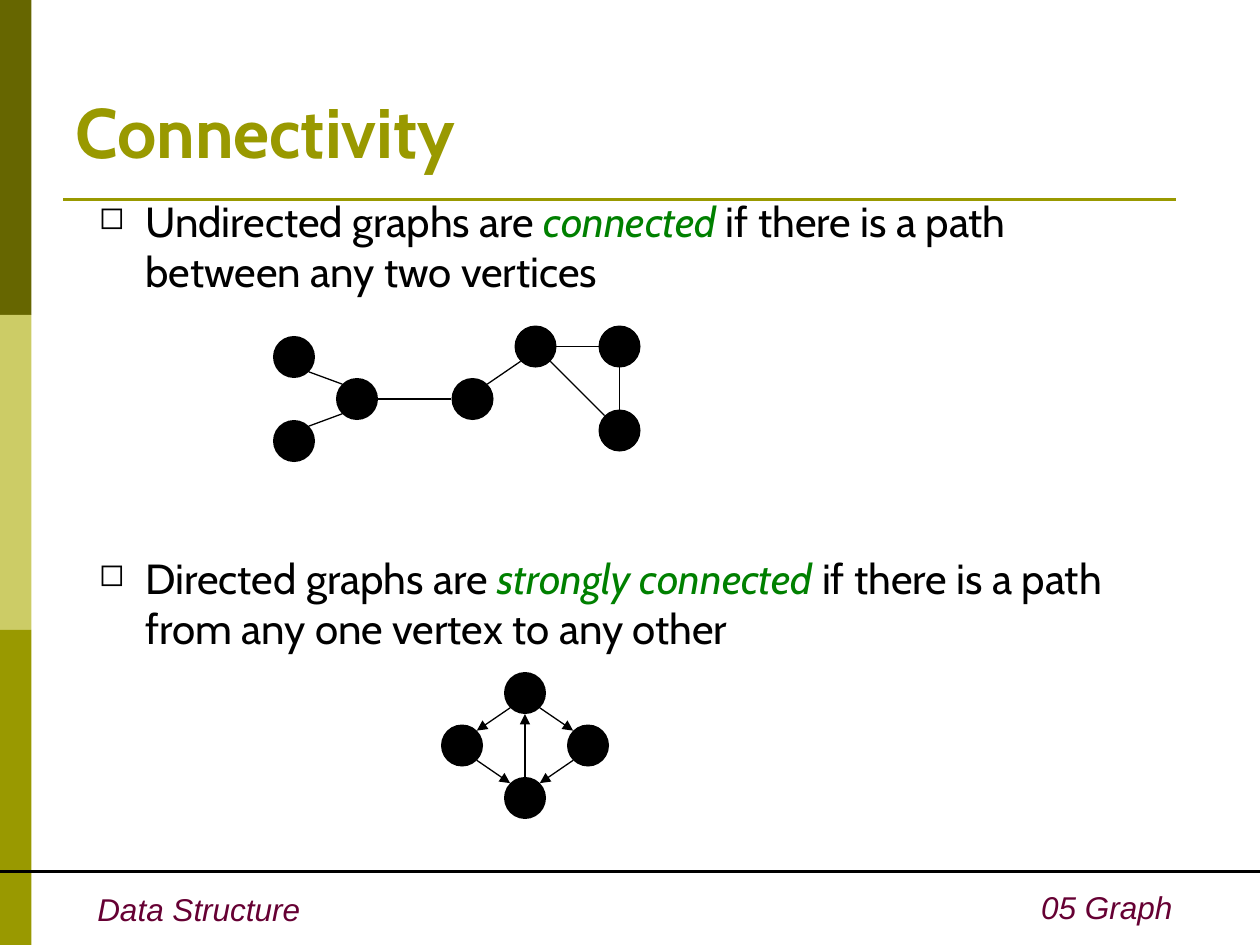
from dataclasses import dataclass
from math import atan2, cos, pi, sin

from lxml.etree import SubElement
from pptx import Presentation
from pptx.dml.color import RGBColor as Rgb
from pptx.enum.shapes import MSO_CONNECTOR as Conn, MSO_SHAPE as Kind
from pptx.enum.text import MSO_ANCHOR as Anchor, PP_ALIGN as Align
from pptx.oxml.ns import qn
from pptx.util import Pt


@dataclass(frozen=True)
class Theme:
    dark: str = "666600"
    pale: str = "CCCC66"
    olive: str = "999900"
    wine: str = "660033"
    green: str = "008000"
    black: str = "000000"
    head: int = 40
    body: int = 24
    foot: int = 18
    font: str = "Cabin"
    sans: str = "Arial"


class Page:
    def __init__(self, slide, theme):
        self.slide = slide
        self.theme = theme

    def shape(self, kind, box, color, home=None):
        item = (home or self.slide).shapes.add_shape(kind, *map(Pt, box))
        item.shadow.inherit = False
        item.fill.solid()
        item.fill.fore_color.rgb = Rgb.from_string(color)
        item.line.fill.background()

    def line(self, start, end, color, width, home=None, arrow=False):
        item = (home or self.slide).shapes.add_connector(
            Conn.STRAIGHT, *map(Pt, (*start, *end)))
        item.line.color.rgb = Rgb.from_string(color)
        item.line.width = Pt(width)
        if arrow:
            SubElement(item.line._get_or_add_ln(), qn("a:tailEnd"), type="triangle")
        SubElement(item._element.spPr, qn("a:effectLst"))

    def text(self, box, paras, style, anchor=Anchor.TOP,
             align=Align.LEFT, gap=0, bullet=None):
        frame = self.slide.shapes.add_textbox(*map(Pt, box)).text_frame
        frame.word_wrap = True
        frame.vertical_anchor = anchor
        for i, runs in enumerate(paras):
            para = frame.add_paragraph() if i else frame.paragraphs[0]
            para.alignment = align
            if i:
                para.space_before = Pt(gap)
            if bullet:
                self.mark(para, bullet)
            for words, extra in runs:
                self.run(para, words, {**style, **extra})

    def run(self, para, words, style):
        run = para.add_run()
        run.text = words
        for key, value in style.items():
            if key == "color":
                run.font.color.rgb = Rgb.from_string(value)
            else:
                setattr(run.font, key, value)

    def mark(self, para, char):
        props = para._p.get_or_add_pPr()
        props.set("marL", str(Pt(34)))
        props.set("indent", str(-Pt(26.5)))
        tint = SubElement(props, qn("a:buClr"))
        SubElement(tint, qn("a:srgbClr"), val=self.theme.black)
        SubElement(props, qn("a:buSzPct"), val="75000")
        SubElement(props, qn("a:buChar"), char=char)

    def graph(self, nodes, edges, arrow=False, radius=12):
        home = self.slide.shapes.add_group_shape()
        color = self.theme.black
        for x, y in nodes.values():
            box = (x - radius, y - radius, 2 * radius, 2 * radius)
            self.shape(Kind.OVAL, box, color, home)
        for a, b in edges:
            (x1, y1), (x2, y2) = nodes[a], nodes[b]
            turn = round(atan2(y2 - y1, x2 - x1) / (pi / 4)) * pi / 4
            dx, dy = radius * cos(turn), radius * sin(turn)
            self.line((x1 + dx, y1 + dy), (x2 - dx, y2 - dy),
                      color, 0.74, home, arrow)


theme = Theme()
deck = Presentation()
deck.slide_width, deck.slide_height = Pt(720), Pt(540)
page = Page(deck.slides.add_slide(deck.slide_layouts[6]), theme)

for i, color in enumerate((theme.dark, theme.pale, theme.olive)):
    page.shape(Kind.RECTANGLE, (0, 180 * i, 18, 180), color)
page.line((36, 114), (672, 114), theme.olive, 1.5)

foot = dict(name=theme.sans, size=Pt(theme.foot), color=theme.wine, italic=True)
page.text((48.5, 505, 140, 29), [[("Data Structure", {})]], foot)
page.text((377, 504, 300, 29), [[("05 Graph", {})]], foot, align=Align.RIGHT)
page.line((0, 498), (720, 498), theme.black, 2.24)

term = dict(color=theme.green, italic=True)
facts = [
    [("Undirected graphs are ", {}), ("connected", term),
     (" if there is a path between any two vertices", {})],
    [("Directed graphs are ", {}), ("strongly connected", term),
     (" if there is a path from any one vertex to any other", {})],
]
body = dict(name=theme.font, size=Pt(theme.body), color=theme.black)
page.text((42, 108, 612, 432), facts, body, gap=146.5, bullet="\u25fb")

head = dict(name=theme.font, size=Pt(theme.head), color=theme.olive, bold=True)
page.text((36, 48, 282, 54), [[("Connectivity", {})]], head, anchor=Anchor.BOTTOM)

web = dict(a=(168, 204), b=(168, 252), c=(204, 228), d=(270, 228),
           e=(306, 198), f=(354, 198), g=(354, 246))
page.graph(web, ("fg", "fe", "eg", "ed", "dc", "ca", "cb"))

ring = dict(n=(300, 396), s=(300, 456), e=(336, 426), w=(264, 426))
page.graph(ring, ("nw", "ne", "es", "ws", "sn"), arrow=True)

deck.save("out.pptx")
